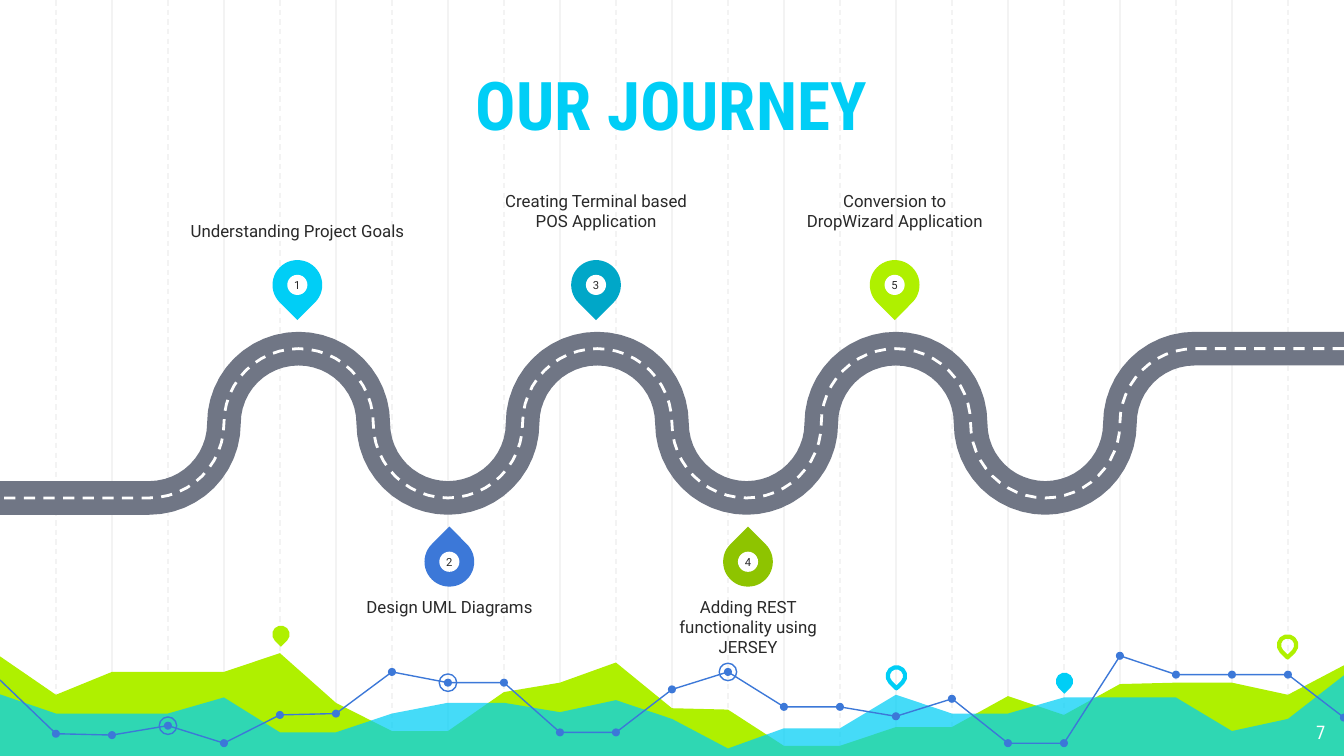
from dataclasses import dataclass
from math import cos, pi, sin

from lxml.etree import SubElement
from pptx import Presentation
from pptx.dml.color import RGBColor
from pptx.enum.dml import MSO_LINE
from pptx.enum.shapes import MSO_CONNECTOR, MSO_SHAPE
from pptx.enum.text import MSO_ANCHOR, PP_ALIGN
from pptx.oxml.ns import qn
from pptx.util import Inches, Pt


@dataclass(frozen=True)
class Theme:
    white: str = "FFFFFF"
    ink: str = "292929"
    grid: str = "F3F3F3"
    road: str = "707685"
    cyan: str = "00CEF6"
    teal: str = "00A7C8"
    lime: str = "AFF000"
    olive: str = "8EC400"
    blue: str = "3C78D8"
    body: str = "Roboto"
    head: str = "Roboto Condensed"
    title: int = 36
    page: int = 10
    label: int = 9
    number: int = 6


T = Theme()
WIDE = 10
STEP = WIDE / 24
BEND = WIDE / 18
MID = 3.15

GREEN = [4.87, 5.17, 5, 5, 5, 4.86, 5.23, 5.44, 5.44, 5.15, 5.08, 4.93, 5.27,
         5.28, 5.55, 5.55, 5.41, 5.41, 5.18, 5.32, 5.09, 5.08, 5.08, 5.17, 4.94]
CYAN = [5.16, 5.31, 5.31, 5.31, 5.19, 5.45, 5.45, 5.31, 5.23, 5.23, 5.3, 5.21, 5.35,
        5.57, 5.42, 5.42, 5.17, 5.31, 5.31, 5.19, 5.19, 5.19, 5.44, 5.35, 5.01]
TREND = [5.06, 5.46, 5.47, 5.4, 5.53, 5.32, 5.31, 5, 5.08, 5.08, 5.45, 5.45, 5.13,
         5, 5.26, 5.26, 5.33, 5.2, 5.53, 5.53, 4.88, 5.02, 5.02, 5.02, 5.34]

STEPS = [
    ("Understanding Project Goals", T.cyan, 2.13),
    ("Design UML Diagrams", T.blue, 1.41),
    ("Creating Terminal based POS Application", T.teal, 1.41),
    ("Adding REST functionality using JERSEY", T.olive, 1.41),
    ("Conversion to DropWizard Application", T.lime, 1.41),
]


def tint(color):
    return RGBColor.from_string(color)


def paint(shape, fill=None, line=None, width=0.75, dash=None):
    """Set fill and line, with none of either unless a colour is given."""
    shape.shadow.inherit = False
    if fill:
        shape.fill.solid()
        shape.fill.fore_color.rgb = tint(fill)
    else:
        shape.fill.background()
    if line:
        shape.line.color.rgb = tint(line)
        shape.line.width = Pt(width)
        if dash:
            shape.line.dash_style = dash
    else:
        shape.line.fill.background()
    return shape


def write(shape, text, size, color=T.ink, font=T.body, bold=False,
          align=PP_ALIGN.CENTER, anchor=MSO_ANCHOR.TOP, inset=0, foot=None):
    frame = shape.text_frame
    frame.word_wrap = True
    frame.vertical_anchor = anchor
    frame.margin_left = frame.margin_right = frame.margin_top = Inches(inset)
    frame.margin_bottom = Inches(inset if foot is None else foot)
    para = frame.paragraphs[0]
    para.alignment = align
    run = para.add_run()
    run.text = text
    run.font.name, run.font.size, run.font.bold = font, Pt(size), bold
    run.font.color.rgb = tint(color)


def add_box(shapes, left, top, width, height):
    return shapes.add_textbox(Inches(left), Inches(top), Inches(width), Inches(height))


def add_round(shapes, kind, x, y, size, turn=0, **style):
    """Add a preset shape centred on x, y."""
    shape = shapes.add_shape(kind, Inches(x - size / 2), Inches(y - size / 2),
                             Inches(size), Inches(size))
    shape.rotation = turn
    return paint(shape, **style)


def add_path(shapes, points, close=False, **style):
    spots = [(Inches(x), Inches(y)) for x, y in points]
    form = shapes.build_freeform(*spots[0])
    form.add_line_segments(spots[1:], close=close)
    return paint(form.convert_to_shape(), **style)


def add_grid(shapes):
    for i in range(1, 24):
        x = Inches(i * STEP)
        line = shapes.add_connector(MSO_CONNECTOR.STRAIGHT, x, 0, x, Inches(5.65))
        line.line.color.rgb = tint(T.grid)
        line.line.width = Pt(0.75)
        if i % 2:
            line.line.dash_style = MSO_LINE.DASH
        SubElement(line.element.spPr, qn("a:effectLst"))


def add_hill(shapes, tops, color, alpha=None):
    left, right, base = -0.02, WIDE + 0.02, 5.65
    ridge = [(i * STEP, y) for i, y in enumerate(tops)]
    ridge[0], ridge[-1] = (left, tops[0]), (right, tops[-1])
    hill = add_path(shapes, ridge + [(right, base), (left, base)], close=True, fill=color)
    if alpha:
        shade = hill.element.spPr.find(".//" + qn("a:srgbClr"))
        SubElement(shade, qn("a:alpha")).set("val", str(alpha * 1000))


def add_trend(shapes):
    points = [(i * STEP, y) for i, y in enumerate(TREND)]
    for first, last in ((0, 11), (11, 20), (20, 24)):
        add_path(shapes, points[first:last + 1], line=T.blue)
    for x, y in points[1:]:
        add_round(shapes, MSO_SHAPE.OVAL, x, y, 0.06, fill=T.blue)
    for i in (3, 8, 13):
        add_round(shapes, MSO_SHAPE.OVAL, *points[i], 0.13, line=T.blue)


def add_flags(shapes):
    for x, y, style in (
        (2.09, 4.72, {"fill": T.lime}),
        (6.67, 5.03, {"line": T.cyan, "width": 2.25}),
        (7.92, 5.07, {"fill": T.cyan}),
        (9.58, 4.8, {"line": T.lime, "width": 2.25}),
    ):
        add_round(shapes, MSO_SHAPE.TEAR, x, y, 0.13, 135, **style)


def trace_road():
    """Return the road from right to left as half circles that swap sides."""
    points = [(0, MID + BEND)]
    for k in range(2, 17, 2):
        side = 1 if k % 4 == 2 else -1
        start = 12 if k == 2 else 0
        stop = 12 if k == 16 else 24
        for n in range(start, stop + 1):
            turn = pi * (1 - n / 24)
            points.append((BEND * (k + cos(turn)), MID + side * BEND * sin(turn)))
    points.append((WIDE, MID - BEND))
    return points[::-1]


def add_step(shapes, number, text, color, width):
    upper = number % 2 == 1
    x = BEND * (2 + 2 * number) + (-0.01 if upper else 0.01)
    y = 2.12 if upper else 4.18
    add_round(shapes, MSO_SHAPE.TEAR, x, y, 0.37, 135 if upper else 315, fill=color)
    disc = add_round(shapes, MSO_SHAPE.OVAL, x, y, 0.15, fill=T.white)
    write(disc, str(number), T.number, anchor=MSO_ANCHOR.MIDDLE)
    label = add_box(shapes, x - width / 2, 1.43 if upper else 4.44, width, 0.58)
    write(label, text, T.label, foot=0.29 if upper else 0,
          anchor=MSO_ANCHOR.BOTTOM if upper else MSO_ANCHOR.TOP)


def main():
    deck = Presentation()
    deck.slide_width = Inches(WIDE)
    deck.slide_height = Inches(WIDE) * 9 // 16
    shapes = deck.slides.add_slide(deck.slide_layouts[6]).shapes
    add_grid(shapes)
    add_hill(shapes, GREEN, T.lime)
    add_hill(shapes, CYAN, T.cyan, alpha=73)
    add_flags(shapes)
    add_trend(shapes)
    write(add_box(shapes, 1.17, 0.39, 7.65, 0.78), "OUR JOURNEY", T.title, T.cyan,
          T.head, bold=True, anchor=MSO_ANCHOR.BOTTOM, inset=0.1)
    write(add_box(shapes, 9.36, 5.28, 0.6, 0.35), "7", T.page, T.white, T.head,
          align=PP_ALIGN.RIGHT, inset=0.1)
    road = trace_road()
    add_path(shapes, road, line=T.road, width=18)
    add_path(shapes, road, line=T.white, width=1.5, dash=MSO_LINE.DASH)
    for number, step in enumerate(STEPS, 1):
        add_step(shapes, number, *step)
    deck.save("out.pptx")


if __name__ == "__main__":
    main()
